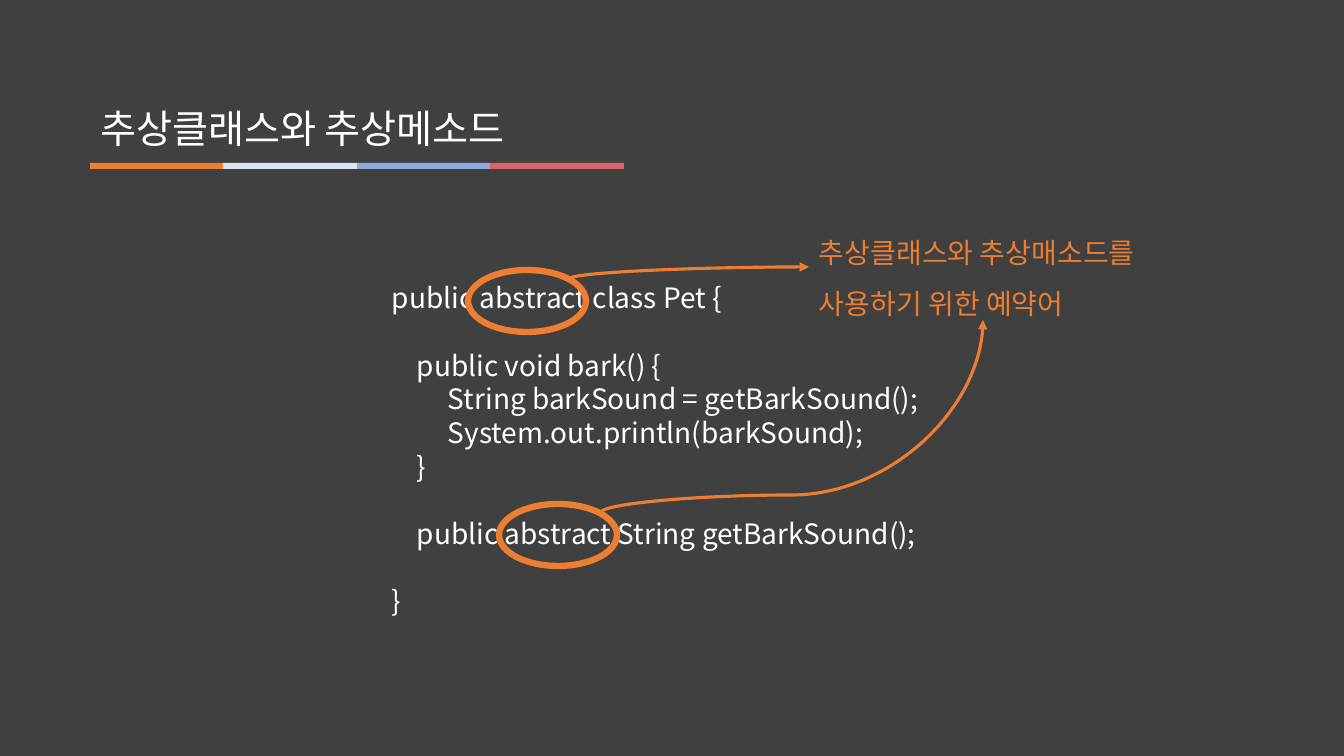
"""Build the slide on abstract classes and abstract methods."""
import pptx
import pptx.dml.color
import pptx.enum.shapes
import pptx.enum.text
import pptx.oxml
import pptx.oxml.ns
import pptx.util
from lxml import etree

PX = 914400 / 100.8
FONT = "Noto Sans CJK KR"
COLORS = {"background": "404040", "text": "FFFFFF", "accent": "ED7D31",
          "pale": "DAE3F3", "blue": "8FAADC", "red": "DC626B"}


def emu(*pixels):
    return [pptx.util.Emu(round(value * PX)) for value in pixels]


def write(shape, lines, *, size, color, line_spacing=1.0):
    """Fill a shape with (text, indent, space above) lines."""
    frame = shape.text_frame
    frame.word_wrap = True
    frame.auto_size = pptx.enum.text.MSO_AUTO_SIZE.NONE
    frame.vertical_anchor = pptx.enum.text.MSO_ANCHOR.TOP
    for number, (text, indent, gap) in enumerate(lines):
        paragraph = frame.add_paragraph() if number else frame.paragraphs[0]
        paragraph.alignment = pptx.enum.text.PP_ALIGN.LEFT
        paragraph.line_spacing = line_spacing
        paragraph.space_before = pptx.util.Pt(gap)
        paragraph._p.get_or_add_pPr().set("marL", str(emu(indent)[0]))
        run = paragraph.add_run()
        run.text = text
        run.font.size = pptx.util.Pt(size)
        run.font.name = FONT
        run.font.color.rgb = pptx.dml.color.RGBColor.from_string(COLORS[color])
        east_asian = etree.SubElement(run._r.get_or_add_rPr(), pptx.oxml.ns.qn("a:ea"))
        east_asian.set("typeface", FONT)


deck = pptx.Presentation()
deck.slide_width, deck.slide_height = emu(1344, 756)
slide = deck.slides.add_slide(deck.slide_layouts[5])
slide.background.fill.solid()
slide.background.fill.fore_color.rgb = pptx.dml.color.RGBColor.from_string(COLORS["background"])

for column, color in enumerate(["accent", "pale", "blue", "red"]):
    left, right = (90 + 534 * edge // 4 for edge in (column, column + 1))
    stripe = slide.shapes.add_shape(pptx.enum.shapes.MSO_SHAPE.RECTANGLE,
                                    *emu(left, 163, right - left, 6))
    stripe.shadow.inherit = False
    stripe.fill.solid()
    stripe.fill.fore_color.rgb = pptx.dml.color.RGBColor.from_string(COLORS[color])
    stripe.line.fill.background()

heading = slide.shapes.title
heading.left, heading.top, heading.width, heading.height = emu(90, 99, 453, 57)
write(heading, [("추상클래스와 추상메소드", 0, 0)], size=28, color="text")

code = slide.shapes.add_textbox(*emu(382, 276, 566, 350))
write(code, [
    ("public abstract class Pet {", 0, 0),
    ("public void bark() {", 25, 24),
    ("String barkSound = getBarkSound();", 56, 0),
    ("System.out.println(barkSound);", 56, 0),
    ("}", 25, 0),
    ("public abstract String getBarkSound();", 25, 24),
    ("}", 0, 24),
], size=20, color="text")

for left, top in [(468, 270), (499, 504)]:
    keyword_ring = slide.shapes.add_shape(pptx.enum.shapes.MSO_SHAPE.OVAL,
                                          *emu(left, top, 118, 62))
    keyword_ring.shadow.inherit = False
    keyword_ring.fill.background()
    keyword_ring.line.color.rgb = pptx.dml.color.RGBColor.from_string(COLORS["accent"])
    keyword_ring.line.width = pptx.util.Pt(4.5)

explanation = slide.shapes.add_textbox(*emu(809, 214, 347, 106))
write(explanation, [("추상클래스와 추상매소드를", 0, 0), ("사용하기 위한 예약어", 0, 0)],
      size=20, color="accent", line_spacing=1.5)

for start_x, start_y, end_x, end_y, preset, bend in [
        (569, 279, 809, 267, "curvedConnector2", None),
        (600, 513, 983, 320, "curvedConnector3", 9300)]:
    center_x, center_y = (start_x + end_x) / 2, (start_y + end_y) / 2
    half_width, half_height = (start_y - end_y) / 2, (end_x - start_x) / 2
    arrow = slide.shapes.add_connector(
        pptx.enum.shapes.MSO_CONNECTOR.CURVE,
        *emu(center_x + half_width, center_y + half_height,
             center_x - half_width, center_y - half_height))
    arrow.line.color.rgb = pptx.dml.color.RGBColor.from_string(COLORS["accent"])
    arrow.line.width = pptx.util.Pt(2.25)
    properties = arrow._element.spPr
    properties.find(pptx.oxml.ns.qn("a:xfrm")).set("rot", "5400000")
    geometry = properties.find(pptx.oxml.ns.qn("a:prstGeom"))
    geometry.set("prst", preset)
    if bend:
        guide = etree.SubElement(geometry.find(pptx.oxml.ns.qn("a:avLst")),
                                 pptx.oxml.ns.qn("a:gd"))
        guide.set("name", "adj1")
        guide.set("fmla", f"val {bend}")
    head = etree.SubElement(properties.find(pptx.oxml.ns.qn("a:ln")),
                            pptx.oxml.ns.qn("a:tailEnd"))
    head.set("type", "triangle")
    etree.SubElement(properties, pptx.oxml.ns.qn("a:effectLst"))

deck.save("out.pptx")
